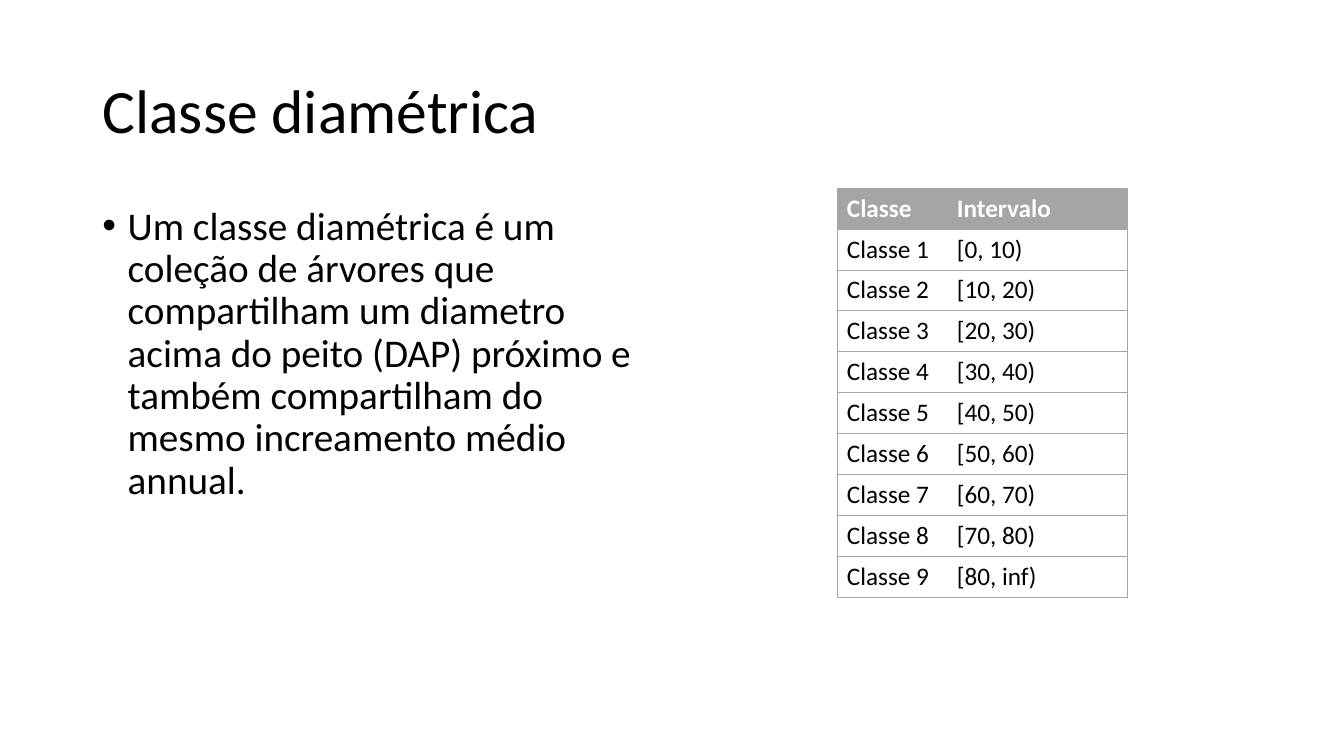
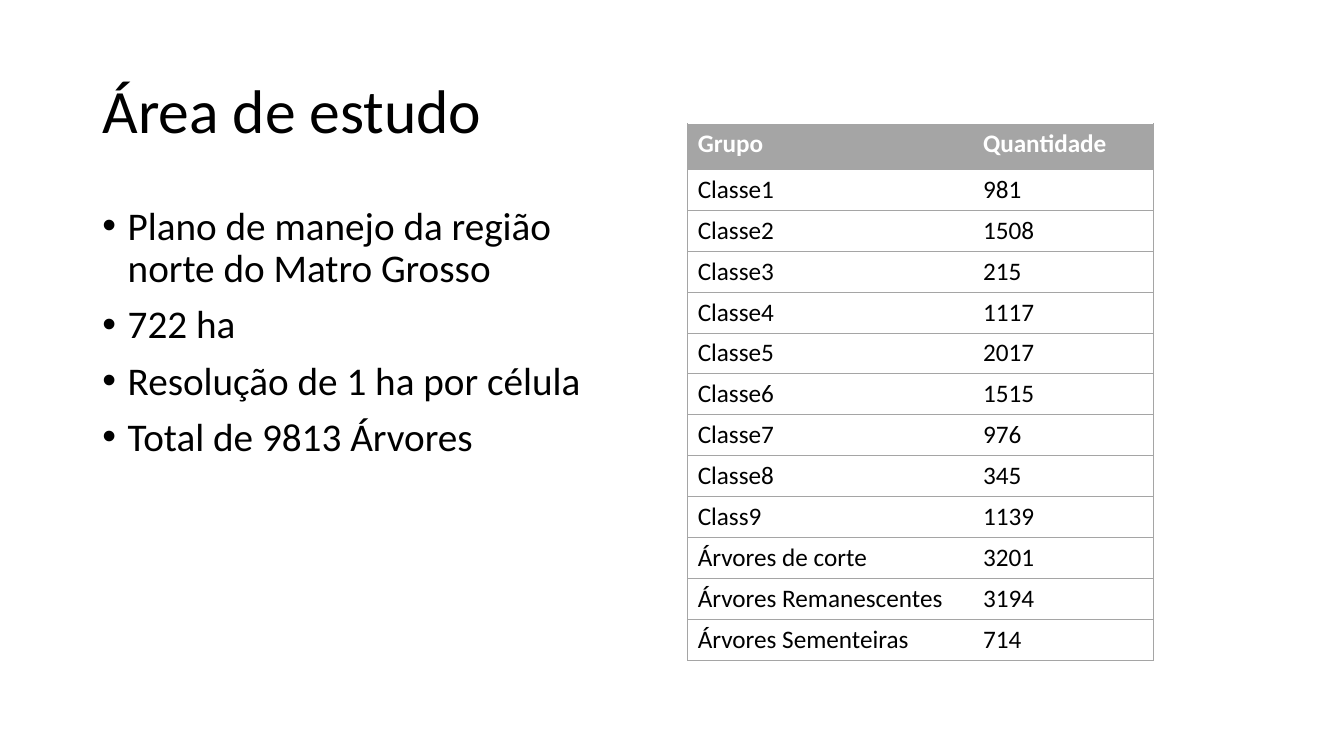
from lxml import etree
from pptx import Presentation
from pptx.dml.color import RGBColor
from pptx.enum import text
from pptx.oxml import ns
from pptx.util import Cm, Pt

# Shared style
COLORS = {"ink": "000000", "line": "A5A5A5", "head": "A5A5A5", "head_text": "FFFFFF"}
TITLE = {"size": Pt(44), "bold": False, "color": "ink"}
BODY = {"size": Pt(28), "bold": False, "color": "ink"}
HEAD = {"size": Pt(18), "bold": True, "color": "head_text"}
CELL = {"size": Pt(18), "bold": False, "color": "ink"}
BULLET = {"space_before": Pt(10), "line_spacing": 0.9}
ROW_H = Cm(1.03)
VALUE_W = Cm(4.55)

# Slide contents
limits = [*range(0, 90, 10), "inf"]
slides = [
    {
        "title": "Classe diamétrica",
        "bullets": [
            "Um classe diamétrica é um coleção de árvores que compartilham "
            "um diametro acima do peito (DAP) próximo e também compartilham "
            "do mesmo increamento médio annual."
        ],
        "rows": [("Classe", "Intervalo")]
        + [(f"Classe {i + 1}", f"[{limits[i]}, {limits[i + 1]})") for i in range(9)],
        "left": Cm(21.09), "top": Cm(4.74), "name_w": Cm(2.77), "head_h": ROW_H,
    },
    {
        "title": "Área de estudo",
        "bullets": [
            "Plano de manejo da região norte do Matro Grosso",
            "722 ha",
            "Resolução de 1 ha por célula",
            "Total de 9813 Árvores",
        ],
        "rows": [
            ("Grupo", "Quantidade"),
            ("Classe1", "981"),
            ("Classe2", "1508"),
            ("Classe3", "215"),
            ("Classe4", "1117"),
            ("Classe5", "2017"),
            ("Classe6", "1515"),
            ("Classe7", "976"),
            ("Classe8", "345"),
            ("Class9", "1139"),
            ("Árvores de corte", "3201"),
            ("Árvores Remanescentes", "3194"),
            ("Árvores Sementeiras", "714"),
        ],
        "left": Cm(17.33), "top": Cm(3.12), "name_w": Cm(7.19), "head_h": Cm(1.15),
    },
]


def write(p, content, style):
    r = p.add_run()
    r.text = content
    r.font.name = "Calibri"
    r.font.size = style["size"]
    r.font.bold = style["bold"]
    r.font.color.rgb = RGBColor.from_string(COLORS[style["color"]])


def border(cell, side, visible):
    ln = etree.SubElement(cell._tc.get_or_add_tcPr(), ns.qn(f"a:ln{side}"), w=str(Pt(0.5)))
    if visible:
        fill = etree.SubElement(ln, ns.qn("a:solidFill"))
        etree.SubElement(fill, ns.qn("a:srgbClr"), val=COLORS["line"])
    else:
        etree.SubElement(ln, ns.qn("a:noFill"))


prs = Presentation()
prs.slide_width, prs.slide_height = Cm(33.87), Cm(19.05)

for data in slides:
    s = prs.slides.add_slide(prs.slide_layouts[5])

    # Title
    sp = s.shapes.title
    sp.left, sp.top, sp.width, sp.height = Cm(2.33), Cm(1.01), Cm(29.21), Cm(3.68)
    sp.text_frame.vertical_anchor = text.MSO_ANCHOR.MIDDLE
    p = sp.text_frame.paragraphs[0]
    p.alignment = text.PP_ALIGN.LEFT
    p.line_spacing = 0.9
    write(p, data["title"], TITLE)

    # Bulleted text
    tf = s.shapes.add_textbox(Cm(2.33), Cm(5.07), Cm(14.39), Cm(12.09)).text_frame
    tf.word_wrap = True
    tf.margin_right = Cm(0.6)
    for i, line in enumerate(data["bullets"]):
        p = tf.add_paragraph() if i else tf.paragraphs[0]
        for key, value in BULLET.items():
            setattr(p, key, value)
        pPr = p._p.get_or_add_pPr()
        pPr.set("marL", str(Cm(0.64)))
        pPr.set("indent", str(-Cm(0.64)))
        etree.SubElement(pPr, ns.qn("a:buFont"), typeface="Arial")
        etree.SubElement(pPr, ns.qn("a:buChar"), char="•")
        write(p, line, BODY)

    # Table
    rows = data["rows"]
    height = data["head_h"] + ROW_H * (len(rows) - 1)
    table = s.shapes.add_table(
        len(rows), 2, data["left"], data["top"], data["name_w"] + VALUE_W, height
    ).table
    table.horz_banding = False
    table.columns[0].width, table.columns[1].width = data["name_w"], VALUE_W
    for i, row in enumerate(rows):
        table.rows[i].height = ROW_H if i else data["head_h"]
        for j, value in enumerate(row):
            cell = table.cell(i, j)
            write(cell.text_frame.paragraphs[0], value, CELL if i else HEAD)
            for side, visible in {"L": j == 0, "R": j == 1, "T": True, "B": True}.items():
                border(cell, side, visible)
            if i:
                cell.fill.background()
            else:
                cell.fill.solid()
                cell.fill.fore_color.rgb = RGBColor.from_string(COLORS["head"])

prs.save("out.pptx")
